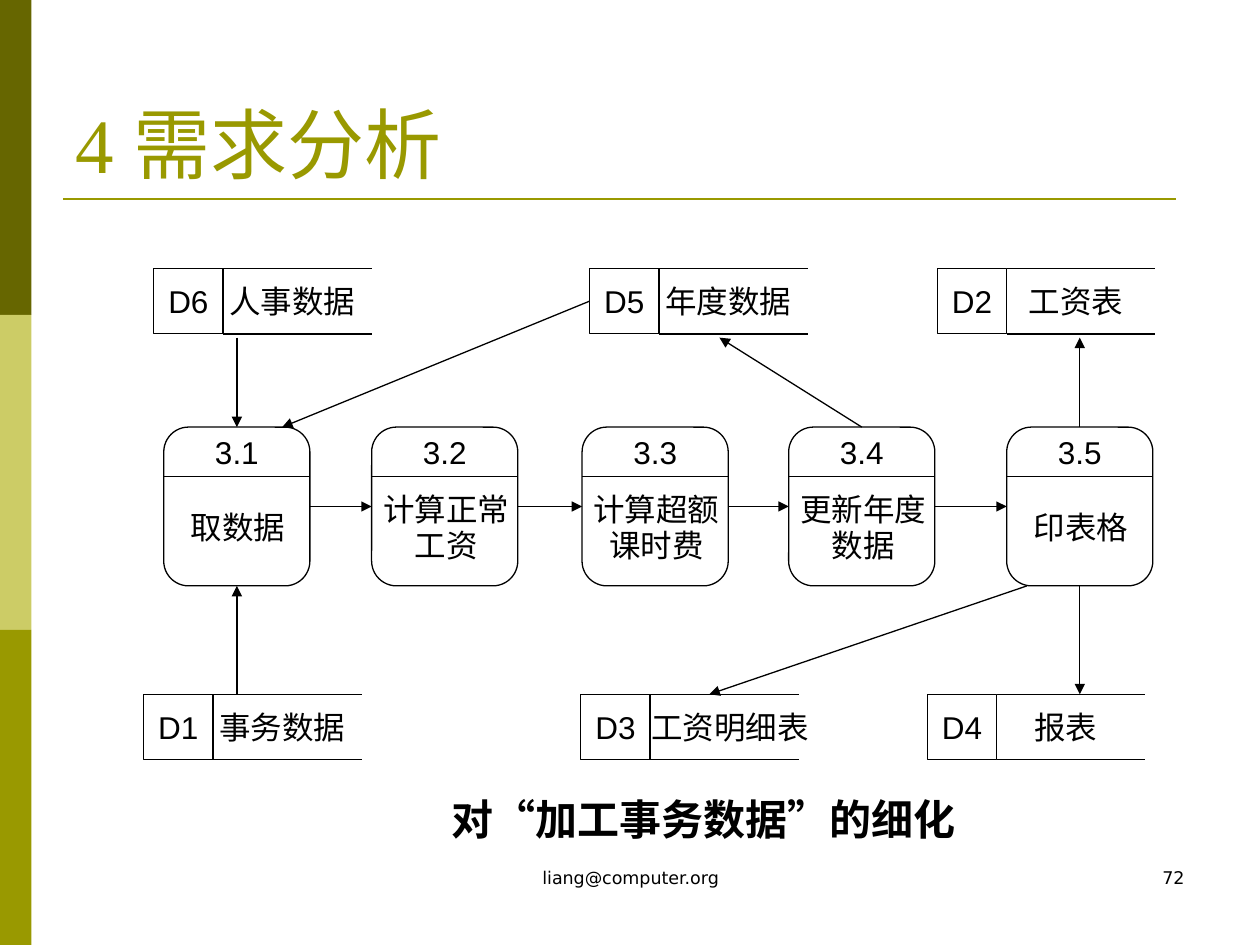
from dataclasses import dataclass

from lxml.etree import SubElement
from pptx import Presentation
from pptx.dml.color import RGBColor
from pptx.enum.shapes import MSO_CONNECTOR, MSO_SHAPE
from pptx.enum.text import MSO_ANCHOR, PP_ALIGN
from pptx.oxml.ns import qn
from pptx.util import Inches, Pt


@dataclass(frozen=True)
class Theme:
    ink: RGBColor = RGBColor(0, 0, 0)
    dark: RGBColor = RGBColor(0x66, 0x66, 0x00)
    light: RGBColor = RGBColor(0xCC, 0xCC, 0x66)
    accent: RGBColor = RGBColor(0x99, 0x99, 0x00)
    title_font: str = "Times New Roman"
    diagram_font: str = "Arial"
    footer_font: str = "DejaVu Sans"
    title_size: int = 44
    caption_size: int = 24
    diagram_size: int = 18
    footer_size: int = 10
    hairline: float = 0.75
    rule: float = 1.5


THEME = Theme()

# Connection sites of a rectangle
TOP, LEFT, BOTTOM, RIGHT = range(4)

# Data stores: code box, label and open-ended frame
CODE_WIDTH, LABEL_WIDTH, FRAME_WIDTH, STORE_HEIGHT = 0.55, 1.1, 1.18, 0.52
UPPER_STORE_TOP, LOWER_STORE_TOP = 2.13, 5.51
UPPER_STORES = [(1.22, "D6", "人事数据"), (4.68, "D5", "年度数据"), (7.44, "D2", "工资表")]
LOWER_STORES = [(1.14, "D1", "事务数据"), (4.61, "D3", "工资明细表"), (7.36, "D4", "报表")]

# Processes: number above a divider, name below
PROCESS_TOP, PROCESS_WIDTH, PROCESS_HEIGHT = 3.39, 1.16, 1.26
PROCESS_BOTTOM = PROCESS_TOP + PROCESS_HEIGHT
PROCESSES = [
    (1.3, "3.1", "取数据"),
    (2.95, "3.2", "计算正常\n工资"),
    (4.62, "3.3", "计算超额\n课时费"),
    (6.26, "3.4", "更新年度\n数据"),
    (7.99, "3.5", "印表格"),
]


def write(shape, text, size, font, color=THEME.ink, align=PP_ALIGN.CENTER,
          anchor=MSO_ANCHOR.TOP, wrap=True, bold=False):
    frame = shape.text_frame
    frame.text = text
    frame.word_wrap = wrap
    frame.vertical_anchor = anchor
    for paragraph in frame.paragraphs:
        paragraph.alignment = align
        for run in paragraph.runs:
            run.font.size = Pt(size)
            run.font.name = font
            run.font.bold = bold
            run.font.color.rgb = color
    return frame


def add_text(slide, left, top, width, height, text, size, font, **style):
    box = slide.shapes.add_textbox(Inches(left), Inches(top), Inches(width), Inches(height))
    return write(box, text, size, font, **style)


def add_outline(slide, preset, left, top, width, height):
    outline = slide.shapes.add_shape(
        preset, Inches(left), Inches(top), Inches(width), Inches(height))
    outline.shadow.inherit = False
    outline.fill.background()
    outline.line.color.rgb = THEME.ink
    outline.line.width = Pt(THEME.hairline)
    return outline


def add_line(slide, start, end, color=THEME.ink, width=THEME.hairline):
    line = slide.shapes.add_connector(
        MSO_CONNECTOR.STRAIGHT, *(Inches(value) for value in (*start, *end)))
    line.line.color.rgb = color
    line.line.width = Pt(width)
    SubElement(line._element.spPr, qn("a:effectLst"))
    return line


def add_flow(slide, start, end, source=None, target=None):
    """Draw an arrow; source and target are (shape, site) pairs to join."""
    flow = add_line(slide, start, end)
    SubElement(flow.line._get_or_add_ln(), qn("a:tailEnd"), type="triangle")
    if source:
        flow.begin_connect(*source)
    if target:
        flow.end_connect(*target)


def add_band(slide, top, color):
    band = slide.shapes.add_shape(
        MSO_SHAPE.RECTANGLE, 0, Inches(top), Inches(0.25), Inches(2.5))
    band.shadow.inherit = False
    band.fill.solid()
    band.fill.fore_color.rgb = color
    band.line.fill.background()


def add_store(slide, left, top, code, label):
    code_box = add_outline(slide, MSO_SHAPE.RECTANGLE, left, top, CODE_WIDTH, STORE_HEIGHT)
    write(code_box, code, THEME.diagram_size, THEME.diagram_font,
          anchor=MSO_ANCHOR.MIDDLE, wrap=False)

    # The label box widens to keep a long label on one line
    inner = left + CODE_WIDTH
    label_width = max(LABEL_WIDTH, len(label) * THEME.diagram_size / 72 + 0.02)
    label_frame = add_text(slide, inner, top, label_width, STORE_HEIGHT, label,
                           THEME.diagram_size, THEME.diagram_font, anchor=MSO_ANCHOR.MIDDLE)
    label_frame.margin_left = label_frame.margin_right = 0

    for edge in (top, top + STORE_HEIGHT):
        add_line(slide, (inner, edge), (inner + FRAME_WIDTH, edge))
    return code_box


def add_process(slide, left, number, name):
    body = add_outline(slide, MSO_SHAPE.ROUNDED_RECTANGLE, left, PROCESS_TOP,
                       PROCESS_WIDTH, PROCESS_HEIGHT)
    body.adjustments[0] = 0.17
    divider = PROCESS_TOP + 0.39
    add_line(slide, (left, divider), (left + PROCESS_WIDTH, divider))
    add_text(slide, left + 0.09, PROCESS_TOP, 0.98, 0.4, number,
             THEME.diagram_size, THEME.diagram_font)
    name_frame = add_text(slide, left - 0.07, 3.98, 1.32, 0.53, name,
                          THEME.diagram_size, THEME.diagram_font)
    lines = name_frame.paragraphs
    if len(lines) > 1:
        for line in lines:
            line.line_spacing = 0.45
        for line in lines[1:]:
            line.space_before = Pt(11.2)
    return body


def add_flows(slide, stores, processes):
    # Main chain from each process to the next
    bodies = list(processes.values())
    for source, target in zip(bodies, bodies[1:]):
        add_flow(slide, (0, 0), (0, 0), (source, RIGHT), (target, LEFT))

    # Stores around the first and last process
    fetch, update, tables = processes["3.1"], processes["3.4"], processes["3.5"]
    fetch_x, tables_x = (left + PROCESS_WIDTH / 2 for left in (PROCESSES[0][0], PROCESSES[-1][0]))
    below_stores = 2.68
    add_flow(slide, (fetch_x, below_stores), (fetch_x, PROCESS_TOP), target=(fetch, TOP))
    add_flow(slide, (fetch_x, LOWER_STORE_TOP), (fetch_x, PROCESS_BOTTOM), target=(fetch, BOTTOM))
    add_flow(slide, (tables_x, PROCESS_TOP), (tables_x, below_stores), source=(tables, TOP))
    add_flow(slide, (tables_x, PROCESS_BOTTOM), (tables_x, LOWER_STORE_TOP),
             source=(tables, BOTTOM))

    # Slanted flows
    add_flow(slide, (8.15, PROCESS_BOTTOM), (5.63, LOWER_STORE_TOP))
    add_flow(slide, (6.84, PROCESS_TOP), (5.71, below_stores), source=(update, TOP))
    add_flow(slide, (4.68, 2.39), (2.24, PROCESS_TOP), source=(stores["D5"], LEFT))


def main():
    deck = Presentation()
    deck.slide_width, deck.slide_height = Inches(10), Inches(7.5)
    slide = deck.slides.add_slide(deck.slide_layouts[6])

    # Side bands, title and rule
    for row, color in enumerate((THEME.dark, THEME.light, THEME.accent)):
        add_band(slide, row * 2.5, color)
    add_line(slide, (0.5, 1.58), (9.33, 1.58), THEME.accent, THEME.rule)
    add_text(slide, 0.5, 0.3, 9, 1.25, "4 需求分析", THEME.title_size, THEME.title_font,
             color=THEME.accent, align=PP_ALIGN.LEFT, anchor=MSO_ANCHOR.BOTTOM)

    # Data flow diagram
    stores = {}
    for top, row in ((UPPER_STORE_TOP, UPPER_STORES), (LOWER_STORE_TOP, LOWER_STORES)):
        for left, code, label in row:
            stores[code] = add_store(slide, left, top, code, label)
    processes = {number: add_process(slide, left, number, name)
                 for left, number, name in PROCESSES}
    add_flows(slide, stores, processes)

    # Caption and footer
    add_text(slide, 3.42, 6.25, 4.33, 0.5, "对“加工事务数据”的细化",
             THEME.caption_size, THEME.diagram_font, bold=True)
    add_text(slide, 3.42, 6.83, 3.17, 0.5, "liang@computer.org",
             THEME.footer_size, THEME.footer_font)
    add_text(slide, 7.17, 6.83, 2.33, 0.5, "72",
             THEME.footer_size, THEME.footer_font, align=PP_ALIGN.RIGHT)

    deck.save("out.pptx")


if __name__ == "__main__":
    main()
